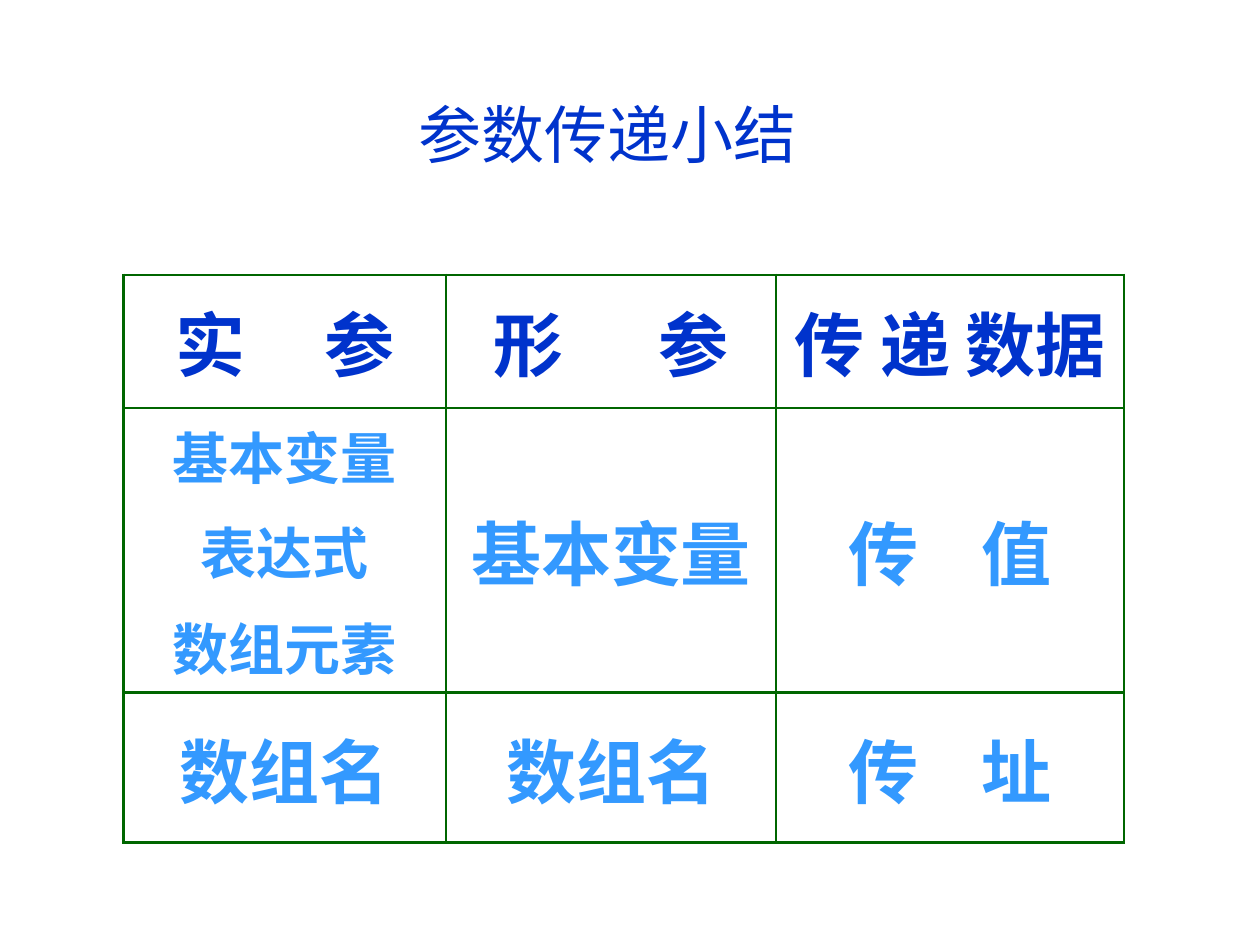
"""Build a slide with a table that sums up parameter passing."""
from lxml import etree
from pptx import Presentation
from pptx.dml.color import RGBColor
from pptx.enum.text import MSO_ANCHOR, PP_ALIGN
from pptx.oxml.ns import qn
from pptx.util import Inches, Pt

CENTER = PP_ALIGN.CENTER
MIDDLE = MSO_ANCHOR.MIDDLE
BLUE, SKY, GREEN = "0033CC", "3399FF", "006600"

TITLE = "参数传递小结"
COLS = [2.56, 2.62, 2.76]
ROWS = [1.06, 1.93, 1.19]
CELLS = [
    [["实 参"], ["形 参"], ["传 递 数据"]],
    [["基本变量", "表达式", "数组元素"], ["基本变量"], ["传 值"]],
    [["数组名"], ["数组名"], ["传 址"]],
]
GAPS = {"实 参": 36, "形 参": 45, "传 值": 27, "传 址": 27}


def add_run(p, text, size, font, color, bold=False, spacing=0):
    r = p.add_run()
    r.text = text
    r.font.size = Pt(size)
    r.font.name = font
    r.font.bold = bold
    r.font.color.rgb = RGBColor.from_string(color)
    if spacing:
        r.font._element.set("spc", str(spacing * 100))


def add_borders(cell):
    tcPr = cell._tc.get_or_add_tcPr()
    for side in ("a:lnL", "a:lnR", "a:lnT", "a:lnB"):
        ln = etree.SubElement(tcPr, qn(side), w=str(Pt(1.47)))
        fill = etree.SubElement(ln, qn("a:solidFill"))
        etree.SubElement(fill, qn("a:srgbClr"), val=GREEN)


def fill_cell(cell, lines, color):
    add_borders(cell)
    cell.fill.background()
    cell.vertical_anchor = MIDDLE
    size = 32 if len(lines) > 1 else 40
    tf = cell.text_frame
    for i, line in enumerate(lines):
        p = tf.add_paragraph() if i else tf.paragraphs[0]
        p.alignment = CENTER
        if i:
            p.space_before = Pt(8)
        if line in GAPS:
            first, last = line.split()
            parts = [(first, 0), (" ", GAPS[line]), (last, 0)]
        else:
            parts = [(line, 0)]
        for text, spacing in parts:
            add_run(p, text, size, "Arial", color, True, spacing)


def main():
    prs = Presentation()
    prs.slide_width, prs.slide_height = Inches(10), Inches(7.5)
    s = prs.slides.add_slide(prs.slide_layouts[5])

    title = s.shapes.title
    title.left, title.top = Inches(2.01), Inches(0.68)
    title.width, title.height = Inches(5.62), Inches(0.75)
    tf = title.text_frame
    tf.word_wrap = True
    tf.vertical_anchor = MIDDLE
    p = tf.paragraphs[0]
    p.alignment = CENTER
    add_run(p, TITLE, 36, "Courier New", BLUE)

    table = s.shapes.add_table(
        len(ROWS), len(COLS), Inches(0.98), Inches(2.18),
        Inches(sum(COLS)), Inches(sum(ROWS))).table
    for col, width in zip(table.columns, COLS):
        col.width = Inches(width)
    for row, height in zip(table.rows, ROWS):
        row.height = Inches(height)
    for i, row in enumerate(CELLS):
        for j, lines in enumerate(row):
            fill_cell(table.cell(i, j), lines, SKY if i else BLUE)

    prs.save("out.pptx")


if __name__ == "__main__":
    main()
